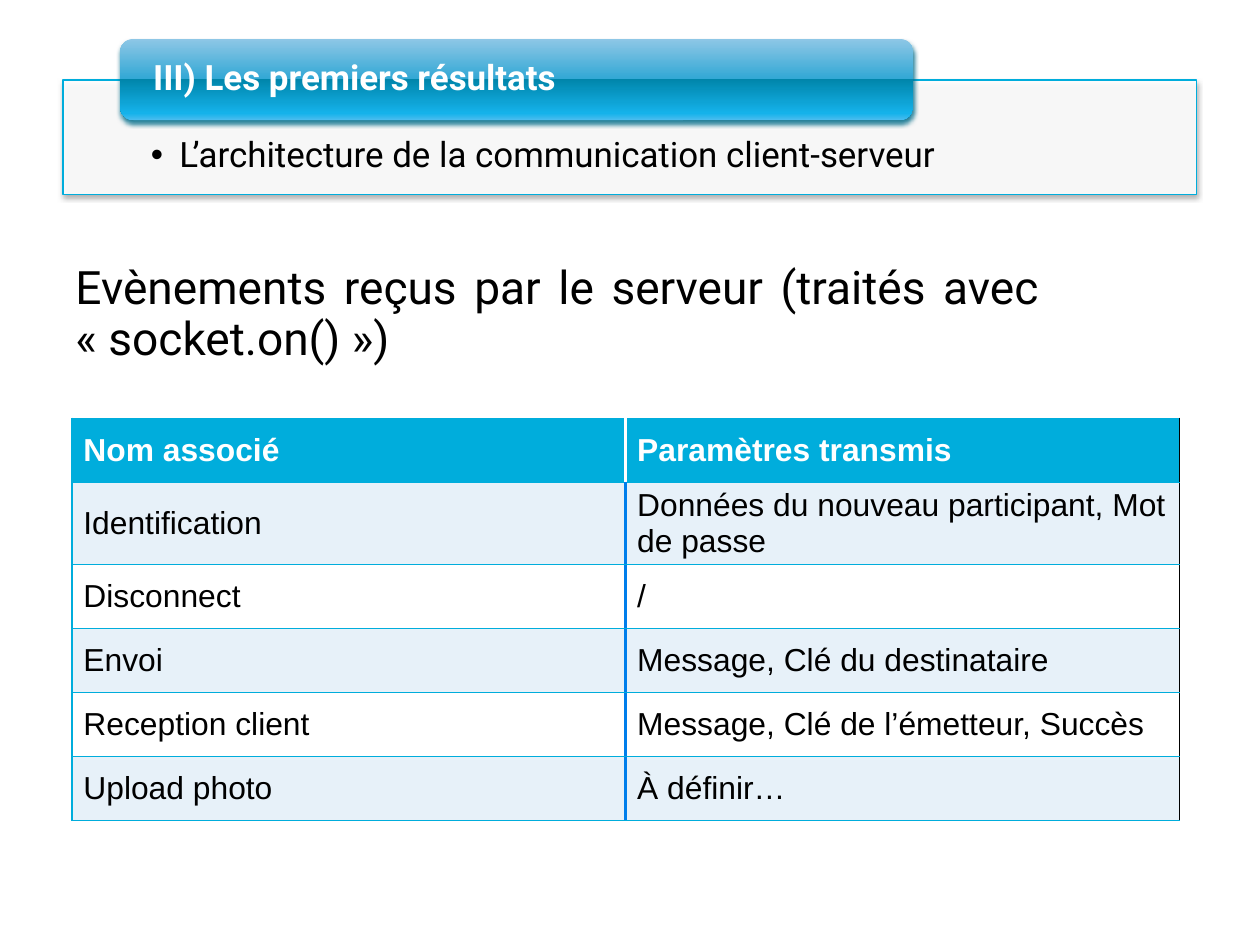
from lxml import etree
from pptx import Presentation
from pptx.dml import color
from pptx.enum import shapes, text
from pptx.oxml import ns
from pptx import util as u


def rgb(code):
    return color.RGBColor.from_string(code)


def add(parent, tag, **attributes):
    return etree.SubElement(parent, ns.qn("a:" + tag), attributes)


deck = Presentation()
deck.slide_width = u.Inches(28 / 2.54)
deck.slide_height = u.Inches(21 / 2.54)
slide = deck.slides.add_slide(deck.slide_layouts[3])
heading, topic, events = slide.placeholders

panel = slide.shapes.add_shape(
    shapes.MSO_SHAPE.RECTANGLE,
    u.Inches(0.55), u.Inches(0.7), u.Inches(9.92), u.Inches(1))
panel.fill.solid()
panel.fill.fore_color.rgb = rgb("FFFFFF")
panel_color = panel._element.spPr.find(ns.qn("a:solidFill"))[0]
add(panel_color, "alpha", val="90000")
panel.line.color.rgb = rgb("00ADDC")
panel.line.width = u.Pt(0.9)

tab = slide.shapes.add_shape(
    shapes.MSO_SHAPE.ROUNDED_RECTANGLE,
    u.Inches(1.05), u.Inches(0.34), u.Inches(6.94), u.Inches(0.71))
tab.fill.gradient()
tab.fill.gradient_angle = 270
tab.line.fill.background()
stops = tab._element.spPr.find(ns.qn("a:gradFill")).find(ns.qn("a:gsLst"))
for stop in list(stops):
    stops.remove(stop)
for percent, code in [(0, "8EC7E6"), (49, "33A8D5"), (49, "0085AA"),
                      (92, "15B2EA"), (100, "4ABCEF")]:
    add(add(stops, "gs", pos=str(percent * 1000)), "srgbClr", val=code)

for place, (shape, shade) in enumerate([(panel, "9D9D9D"), (tab, "006B88")]):
    shape.shadow.inherit = False
    effects = shape._element.spPr.find(ns.qn("a:effectLst"))
    shadow = add(effects, "outerShdw", blurRad=str(u.Pt(3.1)),
                 dist=str(u.Pt(2)), dir="5400000", algn="t", rotWithShape="0")
    add(add(shadow, "srgbClr", val=shade), "alpha", val="83000")
    slide.shapes._spTree.insert(2 + place, shape._element)

nbsp = chr(160)
for holder, wording, box, insets, size, ink, spacing in [
    (heading, "III) Les premiers résultats", (1.08, 0.37, 6.87, 0.64),
     (0.26, 0, 0.26, 0), 22, "FFFFFF", 0.9),
    (topic, "L’architecture de la communication client-serveur",
     (0.55, 0.7, 9.92, 1), (0.77, 0.5, 0.77, 0.17), 22, "000000", 0.9),
    (events,
     f"Evènements reçus par le serveur (traités avec «{nbsp}socket.on(){nbsp}»)",
     (0.55, 2.24, 8.66, 5.67), (0.11, 0.06, 0.11, 0.06), 29, "000000", 0.93),
]:
    holder.left, holder.top, holder.width, holder.height = map(u.Inches, box)
    frame = holder.text_frame
    frame.text = wording
    frame.word_wrap = True
    frame.auto_size = text.MSO_AUTO_SIZE.NONE
    frame.vertical_anchor = text.MSO_ANCHOR.TOP
    (frame.margin_left, frame.margin_top,
     frame.margin_right, frame.margin_bottom) = map(u.Inches, insets)
    paragraph = frame.paragraphs[0]
    paragraph.alignment = text.PP_ALIGN.LEFT
    paragraph.line_spacing = spacing
    paragraph.space_before = u.Pt(0)
    font = paragraph.runs[0].font
    font.name = "Roboto"
    font.size = u.Pt(size)
    font.color.rgb = rgb(ink)

heading.text_frame.vertical_anchor = text.MSO_ANCHOR.MIDDLE
heading.text_frame.paragraphs[0].runs[0].font.bold = True

topic_line = topic.text_frame.paragraphs[0]
topic_line.level = 1
topic_format = topic_line._p.get_or_add_pPr()
topic_format.set("marL", str(u.Inches(0.25)))
topic_format.set("indent", str(u.Inches(-0.25)))
add(add(topic_format, "buClr"), "srgbClr", val="000000")
add(topic_format, "buFont", typeface="Arial")
add(topic_format, "buChar", char="•")

events_line = events.text_frame.paragraphs[0]
events_line.alignment = text.PP_ALIGN.JUSTIFY
events_format = events_line._p.get_or_add_pPr()
events_format.set("marL", "0")
events_format.set("indent", "0")
add(events_format, "buNone")

messages = [
    ("Nom associé", "Paramètres transmis"),
    ("Identification", "Données du nouveau participant, Mot de passe"),
    ("Disconnect", "/"),
    ("Envoi", "Message, Clé du destinataire"),
    ("Reception client", "Message, Clé de l’émetteur, Succès"),
    ("Upload photo", "À définir…"),
]
table = slide.shapes.add_table(
    len(messages), 2, u.Inches(0.63), u.Inches(3.66),
    u.Inches(9.69), u.Inches(0.56 * len(messages))).table
table.first_row = False
table.horz_banding = False

for row, message in enumerate(messages):
    table.rows[row].height = u.Inches(0.56)
    is_header = row == 0
    divider = ("FFFFFF" if is_header else "007EEB", 2.25)
    frame_edge = ("00ADDC", 1)
    for column, wording in enumerate(message):
        cell = table.cell(row, column)
        cell.text = wording
        cell.vertical_anchor = text.MSO_ANCHOR.MIDDLE
        left, right = [(frame_edge, divider), (divider, ("000000", 1))][column]
        borders = {"lnL": left, "lnR": right, "lnT": frame_edge, "lnB": frame_edge}
        for side, (code, width) in borders.items():
            border = add(cell._tc.get_or_add_tcPr(), side, w=str(u.Pt(width)))
            add(add(border, "solidFill"), "srgbClr", val=code)
        cell.fill.solid()
        band = "E7F1F9" if row % 2 else "FFFFFF"
        cell.fill.fore_color.rgb = rgb("00ADDC" if is_header else band)
        paragraph = cell.text_frame.paragraphs[0]
        paragraph.line_spacing = 1.0
        font = paragraph.runs[0].font
        font.name = "Arial"
        font.size = u.Pt(20)
        font.bold = is_header
        font.color.rgb = rgb("FFFFFF" if is_header else "000000")

deck.save("out.pptx")
